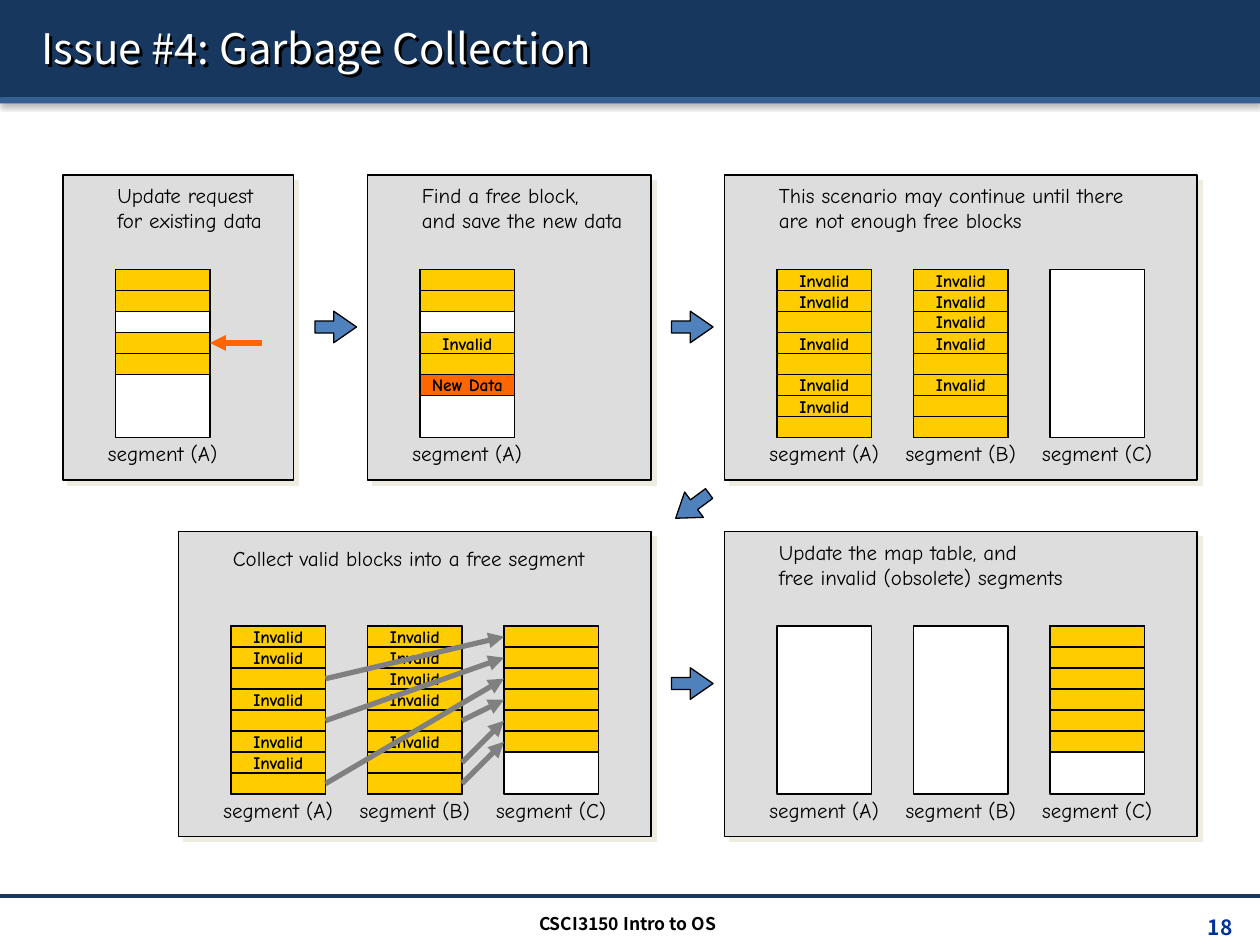
from lxml import etree
from pptx import Presentation
from pptx.dml.color import RGBColor
from pptx.enum.shapes import MSO_CONNECTOR as Connector, MSO_SHAPE as Shape
from pptx.enum.text import MSO_ANCHOR as Anchor, PP_ALIGN as Align
from pptx.oxml import parse_xml
from pptx.oxml.ns import nsdecls, qn
from pptx.util import Inches, Pt

NAVY = RGBColor(0x17, 0x37, 0x5E)
STEEL = RGBColor(0x37, 0x60, 0x92)
BLUE = RGBColor(0x4F, 0x81, 0xBD)
PAGE_BLUE = RGBColor(0x00, 0x33, 0x99)
PANEL_GRAY = RGBColor(0xDD, 0xDD, 0xDD)
LINK_GRAY = RGBColor(0x80, 0x80, 0x80)
YELLOW = RGBColor(0xFF, 0xCC, 0x00)
ORANGE = RGBColor(0xFF, 0x66, 0x00)
WHITE = RGBColor(0xFF, 0xFF, 0xFF)
BLACK = RGBColor(0x00, 0x00, 0x00)

SANS = "Noto Sans CJK KR"
COMIC = "Comic Neue"

# Panel grid, in inches
TOP_ROW, BOTTOM_ROW = 25 / 18, 4.22
COLLECT_LEFT = 17 / 12
PANEL_HEIGHT = 2.42
CAPTION_INSET = 1 / 3
SEGMENT_INSET, SEGMENT_DROP = 5 / 12, 0.75
SEGMENT_WIDTH, SEGMENT_PITCH = 0.75, 13 / 12
LABEL_WIDTH = 1.15
BLOCK_HEIGHT = 1 / 6
BLOCKS_PER_SEGMENT = 8

# Block codes: V valid, I invalid, N new data, . free
BLOCK_STYLES = {"V": (YELLOW, ""), "I": (YELLOW, "Invalid"), "N": (ORANGE, "New Data")}
FULL_A, FULL_B, COLLECTED = "IIVIVIIV", "IIIIVIVV", "VVVVVV"

# Left, top, width, caption, caption drop, segments
PANELS = [
    (0.5, TOP_ROW, 1.83, "Update request\nfor existing data", 0.08, ["VV.VV"]),
    (35 / 12, TOP_ROW, 2.25, "Find a free block,\nand save the new data", 0.08, ["VV.IVN"]),
    (5.75, TOP_ROW, 3.75, "This scenario may continue until there\nare not enough free blocks",
     0.08, [FULL_A, FULL_B, ""]),
    (COLLECT_LEFT, BOTTOM_ROW, 3.75, "Collect valid blocks into a free segment", 0.03,
     [FULL_A, FULL_B, COLLECTED]),
    (5.75, BOTTOM_ROW, 3.75, "Update the map table, and\nfree invalid (obsolete) segments",
     0.08, ["", "", COLLECTED]),
]

# Source segment, source block, target block in segment C
MOVES = [(1, 4, 3), (1, 6, 4), (1, 7, 5), (0, 2, 0), (0, 4, 1), (0, 7, 2)]

# Left, top, rotation
STEP_ARROWS = [(2.5, 2.47, 0), (5.33, 2.47, 0), (5.33, 5.3, 0), (5.33, 3.89, 143.5)]


def set_shadow(shape, color, alpha, blur, distance, angle):
    """Give the shape one outer shadow; lengths are points."""
    shape.shadow.inherit = False
    effects = parse_xml(
        f'<a:effectLst {nsdecls("a")}><a:outerShdw blurRad="{Pt(blur)}" dist="{Pt(distance)}" '
        f'dir="{angle * 60000}" algn="ctr" rotWithShape="0"><a:srgbClr val="{color}">'
        f'<a:alpha val="{alpha * 1000}"/></a:srgbClr></a:outerShdw></a:effectLst>')
    properties = shape._element.spPr
    properties.replace(properties.find(qn("a:effectLst")), effects)


def format_text(shape, text, size, font=COMIC, color=BLACK, bold=False, align=Align.LEFT):
    shape.text_frame.text = text
    for paragraph in shape.text_frame.paragraphs:
        paragraph.alignment = align
        for run in paragraph.runs:
            run.font.name, run.font.size, run.font.bold = font, Pt(size), bold
            run.font.color.rgb = color


def add_box(slide, left, top, width, height, fill, line_width=None, kind=Shape.RECTANGLE):
    shape = slide.shapes.add_shape(
        kind, Inches(left), Inches(top), Inches(width), Inches(height))
    shape.shadow.inherit = False
    shape.fill.solid()
    shape.fill.fore_color.rgb = fill
    if line_width:
        shape.line.color.rgb = BLACK
        shape.line.width = Pt(line_width)
    else:
        shape.line.fill.background()
    return shape


def add_text(slide, left, top, width, height, text, size, anchor=Anchor.MIDDLE, **style):
    box = slide.shapes.add_textbox(Inches(left), Inches(top), Inches(width), Inches(height))
    box.text_frame.word_wrap = True
    box.text_frame.vertical_anchor = anchor
    format_text(box, text, size, **style)
    return box


def add_line(slide, start, end, color, width, arrow=True):
    line = slide.shapes.add_connector(
        Connector.STRAIGHT, *[Inches(value) for value in (*start, *end)])
    line.line.color.rgb = color
    line.line.width = Pt(width)
    if arrow:
        etree.SubElement(line.line._get_or_add_ln(), qn("a:tailEnd"), type="triangle")
    etree.SubElement(line._element.spPr, qn("a:effectLst"))


def segment_left(panel_left, index):
    return panel_left + SEGMENT_INSET + index * SEGMENT_PITCH


def block_top(panel_top, row):
    return panel_top + SEGMENT_DROP + row * BLOCK_HEIGHT


def add_segment(slide, left, panel_top, name, blocks):
    height = BLOCKS_PER_SEGMENT * BLOCK_HEIGHT
    add_box(slide, left, block_top(panel_top, 0), SEGMENT_WIDTH, height, WHITE, 1)
    for row, code in enumerate(blocks):
        if code == ".":
            continue
        fill, text = BLOCK_STYLES[code]
        block = add_box(slide, left, block_top(panel_top, row), SEGMENT_WIDTH, BLOCK_HEIGHT,
                        fill, 1)
        if text:
            frame = block.text_frame
            frame.word_wrap = False
            frame.margin_top = frame.margin_bottom = 0
            frame.vertical_anchor = Anchor.MIDDLE
            format_text(block, text, 10, bold=True, align=Align.CENTER)
    label_left = left + (SEGMENT_WIDTH - LABEL_WIDTH) / 2
    add_text(slide, label_left, block_top(panel_top, BLOCKS_PER_SEGMENT), LABEL_WIDTH, 0.25,
             f"segment ({name})", 12, align=Align.CENTER)


def add_panel(slide, left, top, width, caption, caption_drop, segments):
    panel = add_box(slide, left, top, width, PANEL_HEIGHT, PANEL_GRAY, 0.75)
    set_shadow(panel, "EEECE1", 100, 0, 4.2, 45)
    box = add_text(slide, left + CAPTION_INSET, top + caption_drop, width - CAPTION_INSET, 0.42,
                   caption, 12)
    for index, paragraph in enumerate(box.text_frame.paragraphs):
        paragraph.line_spacing = 0.6
        if index:
            paragraph.space_before = Pt(6)
    for index, (name, blocks) in enumerate(zip("ABC", segments)):
        add_segment(slide, segment_left(left, index), top, name, blocks)


def add_moves(slide, left, top):
    def middle(row):
        return block_top(top, row + 0.5)

    for segment, source, target in MOVES:
        add_line(slide, (segment_left(left, segment) + SEGMENT_WIDTH, middle(source)),
                 (segment_left(left, 2), middle(target)), LINK_GRAY, 3)


def add_frame(slide):
    """Header bars, title, footer rule, course name and page number."""
    for top, height, color in ((0, 0.77, NAVY), (0.77, 0.05, STEEL)):
        set_shadow(add_box(slide, 0, top, 10, height, color), "000000", 38, 3.1, 1.6, 90)
    add_line(slide, (0, 7.11), (10, 7.11), NAVY, 2, arrow=False)

    title = slide.shapes.title
    title.left, title.top = Inches(0.23), Inches(0.06)
    title.width, title.height = Inches(9.61), Inches(0.64)
    title.text_frame.vertical_anchor = Anchor.MIDDLE
    format_text(title, "Issue #4: Garbage Collection", 24, SANS, WHITE)
    set_shadow(title, "000000", 100, 0, 2, 45)
    slide.shapes._spTree.append(title._element)  # bring in front of the bars

    add_text(slide, 8.71, 7.21, 1.17, 0.24, "18", 12, Anchor.TOP,
             font=SANS, color=PAGE_BLUE, bold=True, align=Align.RIGHT)
    add_text(slide, 3.32, 7.2, 3.32, 0.24, "CSCI3150 Intro to OS", 10, Anchor.TOP,
             font=SANS, bold=True, align=Align.CENTER)


def main():
    presentation = Presentation()
    presentation.slide_width, presentation.slide_height = Inches(10), Inches(7.5)
    slide = presentation.slides.add_slide(presentation.slide_layouts[5])
    add_frame(slide)

    for panel in PANELS:
        add_panel(slide, *panel)

    # Block being updated, and valid blocks moving to segment C
    target = segment_left(0.5, 0) + SEGMENT_WIDTH
    height = block_top(TOP_ROW, 3.5)
    add_line(slide, (target + 0.41, height), (target, height), ORANGE, 3)
    add_moves(slide, COLLECT_LEFT, BOTTOM_ROW)

    # Arrows from step to step
    for left, top, rotation in STEP_ARROWS:
        arrow = add_box(slide, left, top, 0.33, 0.25, BLUE, 0.75, Shape.RIGHT_ARROW)
        arrow.adjustments[0], arrow.adjustments[1] = 0.385, 0.722
        arrow.rotation = rotation

    presentation.save("out.pptx")


if __name__ == "__main__":
    main()
